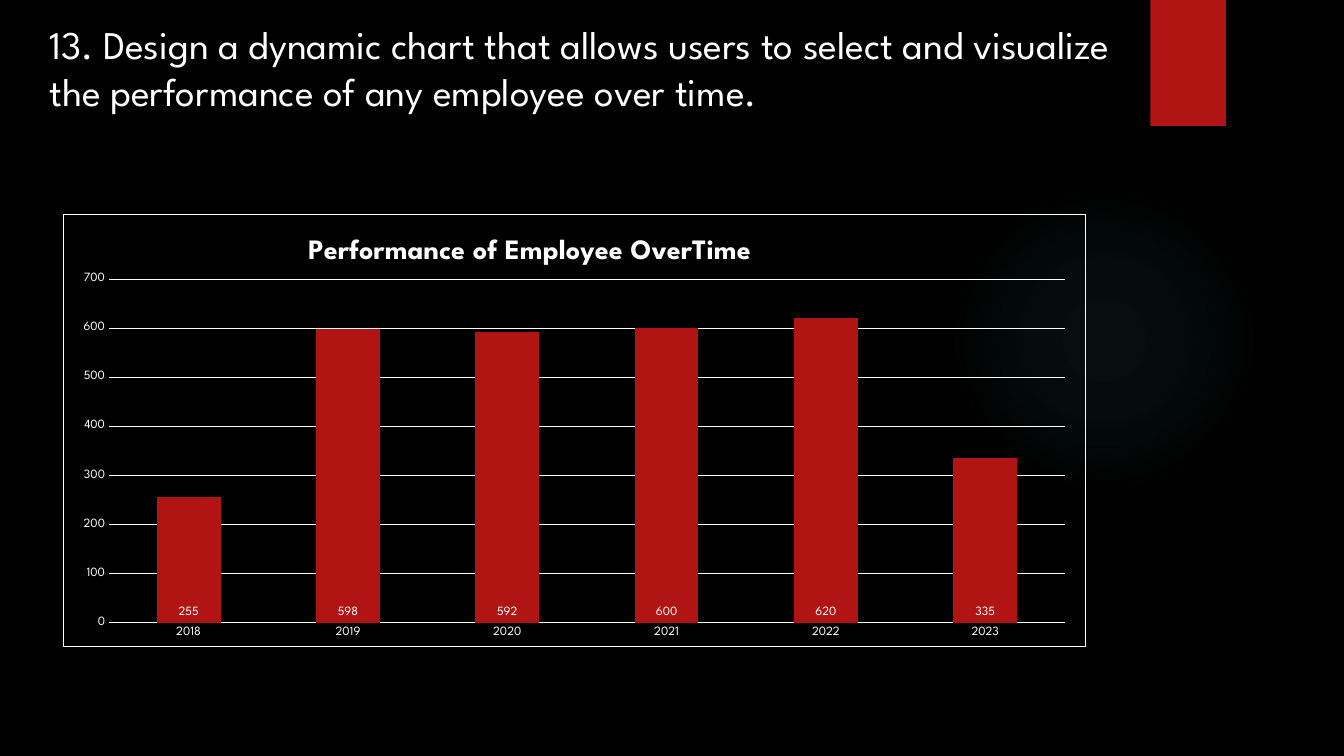
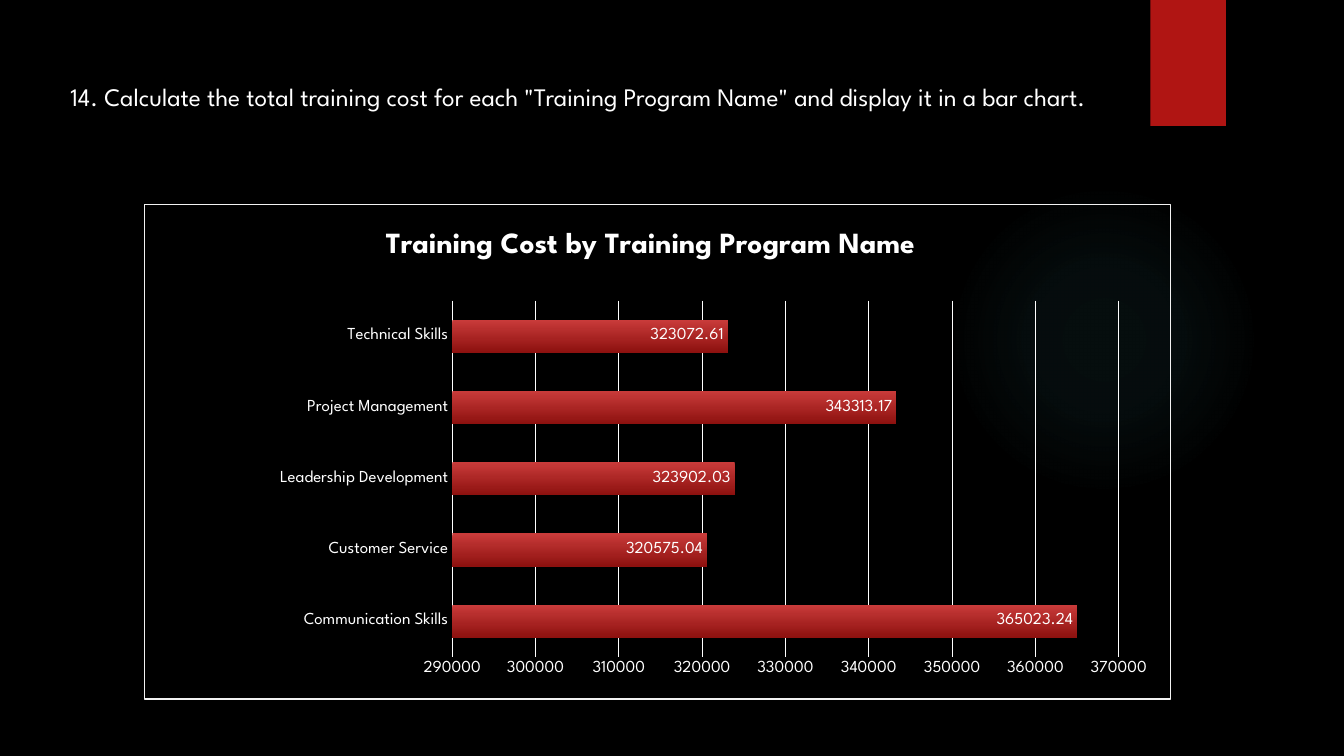
"""Build two dark slides with employee performance and training cost charts."""
import pptx
import pptx.chart.data
import pptx.dml.color
import pptx.enum.chart
import pptx.enum.shapes
import pptx.enum.text
import pptx.oxml
import pptx.oxml.ns
import pptx.util

Inches = pptx.util.Inches
Pt = pptx.util.Pt
qn = pptx.oxml.ns.qn

FONT = "League Spartan"
COLORS = {
    "background": "000000",
    "text": "FFFFFF",
    "accent": "B01513",
    "accent_light": "C93B3A",
    "accent_dark": "8D110F",
    "glow": "50B9C1",
    "soft_border": "F2F2F2",
}
GLOW_STOPS = [(0, 7), (36, 6), (69, 0), (100, 0)]

SLIDES = [
    {
        "heading": "13. Design a dynamic chart that allows users to select and "
                   "visualize the performance of any employee over time.",
        "heading_size": 28,
        "heading_box": (0.39, 0.15, 10.84, 1.51),
        "chart": {
            "kind": "COLUMN_STACKED",
            "box": (0.62, 2.12, 10.15, 4.3),
            "title": "Performance of Employee OverTime",
            "title_size": 20,
            "title_place": (0.235, 0.04),
            "plot_place": (0.045, 0.15, 0.935, 0.795),
            "data": [("2018", 255), ("2019", 598), ("2020", 592),
                     ("2021", 600), ("2022", 620), ("2023", 335)],
            "scale": (0, 700, 100),
            "size": 9,
            "axis_width": 0.75,
            "gap": 150,
            "overlap": 100,
            "label_position": "INSIDE_BASE",
            "bar_colors": ["accent"],
            "border": "text",
        },
    },
    {
        "heading": '14. Calculate the total training cost for each "Training '
                   'Program Name" and display it in a bar chart.',
        "heading_size": 18,
        "heading_box": (0.6, 0.76, 11.53, 0.4),
        "chart": {
            "kind": "BAR_CLUSTERED",
            "box": (1.43, 2.02, 10.18, 4.92),
            "title": "Training Cost by Training Program Name",
            "title_size": 21,
            "title_place": (0.23, 0.04),
            "plot_place": (0.3, 0.195, 0.65, 0.72),
            "data": [("Communication Skills", 365023.24),
                     ("Customer Service", 320575.04),
                     ("Leadership Development", 323902.03),
                     ("Project Management", 343313.17),
                     ("Technical Skills", 323072.61)],
            "scale": (290000, 370000, 10000),
            "size": 12,
            "axis_width": 1,
            "gap": 115,
            "overlap": -20,
            "label_position": "INSIDE_END",
            "bar_colors": ["accent_light", "accent_dark"],
            "border": "soft_border",
        },
    },
]


def rgb(name):
    return pptx.dml.color.RGBColor.from_string(COLORS[name])


def inches(box):
    return [Inches(length) for length in box]


def parse(xml):
    return pptx.oxml.parse_xml(xml)


def style_font(font, size, bold=False):
    font.name = FONT
    font.size = Pt(size)
    font.bold = bold
    font.color.rgb = rgb("text")


def style_line(line, color, width):
    line.color.rgb = rgb(color)
    line.width = Pt(width)


def add_plain_shape(slide, kind, box):
    shape = slide.shapes.add_shape(kind, *inches(box))
    shape.shadow.inherit = False
    shape.line.fill.background()
    return shape


def add_backdrop(slide):
    kinds = pptx.enum.shapes.MSO_SHAPE
    glow = add_plain_shape(slide, kinds.OVAL, (9.41, 1.83, 3.08, 3.08))
    glow.fill.background()
    stops = "".join(
        f'<a:gs pos="{place * 1000}"><a:srgbClr val="{COLORS["glow"]}">'
        f'<a:alpha val="{alpha * 1000}"/></a:srgbClr></a:gs>'
        for place, alpha in GLOW_STOPS)
    gradient = parse(
        f'<a:gradFill {pptx.oxml.ns.nsdecls("a")}><a:gsLst>{stops}</a:gsLst>'
        '<a:path path="circle"><a:fillToRect l="50000" t="50000" r="50000" '
        'b="50000"/></a:path></a:gradFill>')
    properties = glow.element.spPr
    properties.replace(properties.find(qn("a:noFill")), gradient)
    ribbon = add_plain_shape(slide, kinds.RECTANGLE, (11.41, 0, 0.75, 1.25))
    ribbon.fill.solid()
    ribbon.fill.fore_color.rgb = rgb("accent")


def add_heading(slide, text, size, box):
    frame = slide.shapes.add_textbox(*inches(box)).text_frame
    frame.word_wrap = True
    frame.auto_size = pptx.enum.text.MSO_AUTO_SIZE.SHAPE_TO_FIT_TEXT
    frame.text = text
    style_font(frame.paragraphs[0].font, size)


def manual_layout(place, inner=False):
    target = '<c:layoutTarget val="inner"/>' if inner else ""
    modes = "".join(f'<c:{axis}Mode val="edge"/>' for axis in "xy")
    values = "".join(f'<c:{key} val="{value}"/>'
                     for key, value in zip("xywh", place))
    return parse(f'<c:layout {pptx.oxml.ns.nsdecls("c")}><c:manualLayout>'
                 f'{target}{modes}{values}</c:manualLayout></c:layout>')


def drop_layout(element):
    for layout in element.findall(qn("c:layout")):
        element.remove(layout)


def place_parts(chart, details):
    root = chart.element.find(qn("c:chart"))
    title, plot_area = root.find(qn("c:title")), root.find(qn("c:plotArea"))
    drop_layout(title)
    drop_layout(plot_area)
    title.find(qn("c:tx")).addnext(manual_layout(details["title_place"]))
    plot_area.insert(0, manual_layout(details["plot_place"], inner=True))
    root.addnext(parse(
        f'<c:spPr {pptx.oxml.ns.nsdecls("c", "a")}><a:noFill/>'
        f'<a:ln w="{Pt(0.75)}"><a:solidFill><a:srgbClr '
        f'val="{COLORS[details["border"]]}"/></a:solidFill></a:ln></c:spPr>'))


def style_axes(chart, details):
    enums = pptx.enum.chart
    for axis in (chart.category_axis, chart.value_axis):
        axis.major_tick_mark = enums.XL_TICK_MARK.NONE
        axis.minor_tick_mark = enums.XL_TICK_MARK.NONE
        style_font(axis.tick_labels.font, details["size"])
    style_line(chart.category_axis.format.line, "text", details["axis_width"])
    values = chart.value_axis
    values.minimum_scale, values.maximum_scale, values.major_unit = details["scale"]
    values.format.line.fill.background()
    values.has_major_gridlines = True
    style_line(values.major_gridlines.format.line, "text", 0.75)


def style_bars(plot, details):
    plot.vary_by_categories = False
    plot.gap_width = details["gap"]
    plot.overlap = details["overlap"]
    plot.has_data_labels = True
    labels = plot.data_labels
    labels.show_value = True
    labels.position = getattr(pptx.enum.chart.XL_LABEL_POSITION,
                              details["label_position"])
    style_font(labels.font, details["size"])
    fill = plot.series[0].format.fill
    colors = details["bar_colors"]
    if len(colors) == 1:
        fill.solid()
        fill.fore_color.rgb = rgb(colors[0])
    else:
        fill.gradient()
        fill.gradient_angle = 270
        for place, (stop, color) in enumerate(zip(fill.gradient_stops, colors)):
            stop.position = place
            stop.color.rgb = rgb(color)


def add_chart(slide, details):
    data = pptx.chart.data.CategoryChartData()
    data.categories = [name for name, value in details["data"]]
    data.add_series("Series 1", [value for name, value in details["data"]])
    kind = getattr(pptx.enum.chart.XL_CHART_TYPE, details["kind"])
    chart = slide.shapes.add_chart(kind, *inches(details["box"]), data).chart
    style_font(chart.font, 10)
    chart.has_legend = False
    chart.has_title = True
    frame = chart.chart_title.text_frame
    frame.text = details["title"]
    style_font(frame.paragraphs[0].font, details["title_size"], bold=True)
    style_axes(chart, details)
    style_bars(chart.plots[0], details)
    place_parts(chart, details)


def main():
    presentation = pptx.Presentation()
    presentation.slide_width = Inches(13.33)
    presentation.slide_height = Inches(7.5)
    background = presentation.slide_master.background.fill
    background.solid()
    background.fore_color.rgb = rgb("background")
    for content in SLIDES:
        slide = presentation.slides.add_slide(presentation.slide_layouts[6])
        add_backdrop(slide)
        add_heading(slide, content["heading"], content["heading_size"],
                    content["heading_box"])
        add_chart(slide, content["chart"])
    presentation.save("out.pptx")


if __name__ == "__main__":
    main()
